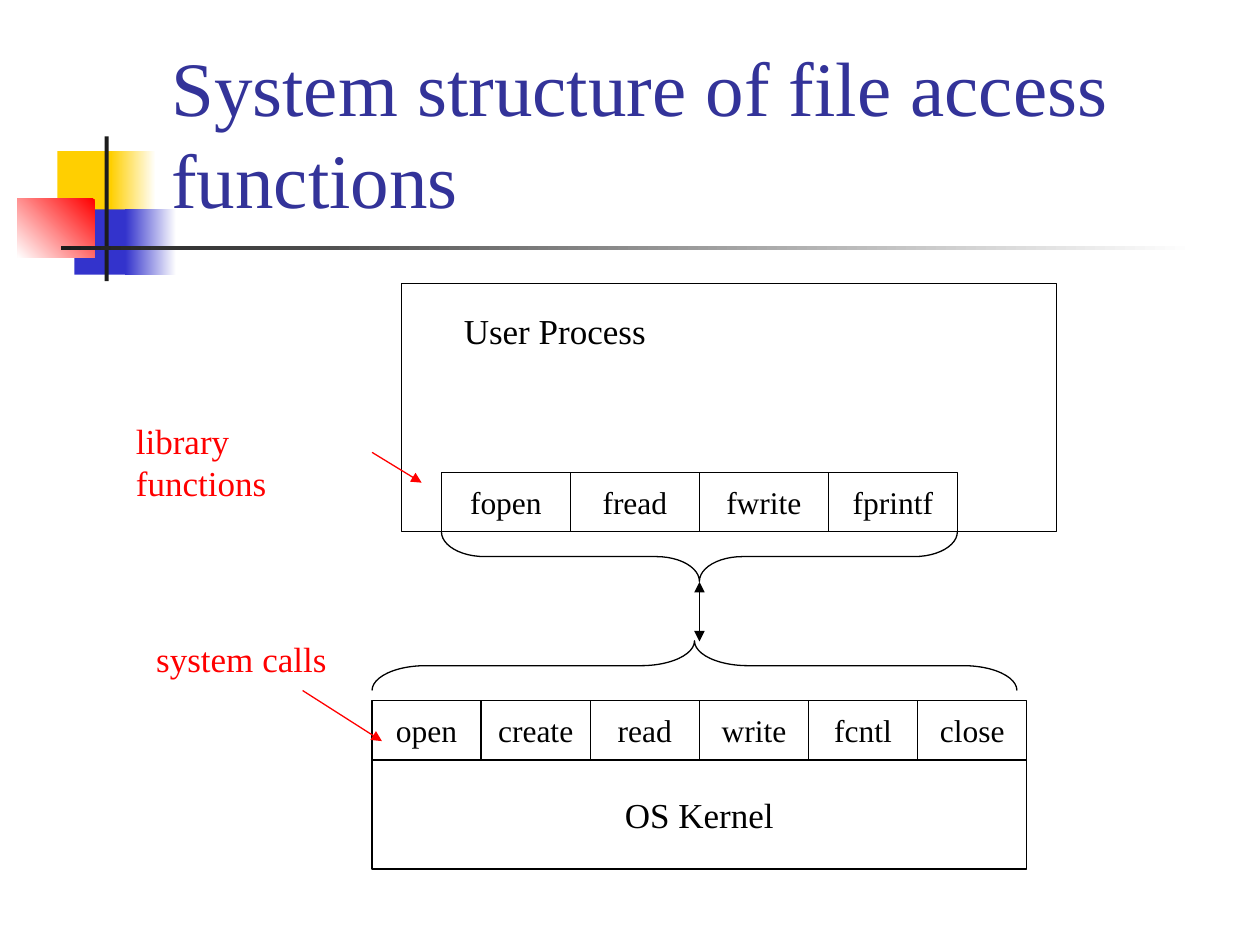
"""Build the slide on the system structure of file access functions."""
import lxml.etree
import pptx
import pptx.dml.color
import pptx.enum.shapes
import pptx.enum.text
import pptx.oxml.ns
import pptx.util

Cm, Pt, qn = pptx.util.Cm, pptx.util.Pt, pptx.oxml.ns.qn
Shape = pptx.enum.shapes.MSO_SHAPE
Anchor = pptx.enum.text.MSO_ANCHOR
Align = pptx.enum.text.PP_ALIGN
FONT = "Times New Roman"
BLACK, RED, WHITE, DARK = "000000", "FF0000", "FFFFFF", "1C1C1C"
YELLOW, BLUE, NAVY = "FFCF01", "3333CC", "333399"
LINE_WIDTH = 0.74
ROW_HEIGHT = 1.2


def color(value):
    return pptx.dml.color.RGBColor.from_string(value)


def write(frame, words, size, ink, align, anchor, wrap=False):
    frame.word_wrap = wrap
    frame.vertical_anchor = anchor
    para = frame.paragraphs[0]
    para.alignment = align
    span = para.add_run()
    span.text = words
    span.font.name = FONT
    span.font.size = Pt(size)
    span.font.color.rgb = color(ink)


def add_preset(page, kind, left, top, width, height):
    shape = page.shapes.add_shape(kind, Cm(left), Cm(top), Cm(width), Cm(height))
    shape.shadow.inherit = False
    return shape


def add_block(page, left, top, width, height, fill, fade=None, angle=180):
    shape = add_preset(page, Shape.RECTANGLE, left, top, width, height)
    shape.line.fill.background()
    if fade is None:
        shape.fill.solid()
        shape.fill.fore_color.rgb = color(fill)
        return
    shape.fill.gradient()
    shape.fill.gradient_angle = angle
    for stop, ink in zip(shape.fill.gradient_stops, (fill, fade)):
        stop.color.rgb = color(ink)


def add_outline(page, kind, left, top, width, height):
    shape = add_preset(page, kind, left, top, width, height)
    shape.fill.background()
    shape.line.color.rgb = color(BLACK)
    shape.line.width = Pt(LINE_WIDTH)
    return shape


def add_box(page, left, top, width, height, words="", size=18):
    box = add_outline(page, Shape.RECTANGLE, left, top, width, height)
    if words:
        write(box.text_frame, words, size, BLACK, Align.CENTER, Anchor.MIDDLE)


def add_row(page, left, top, width, names):
    for index, name in enumerate(names):
        add_box(page, left + index * width, top, width, ROW_HEIGHT, name)


def add_label(page, left, top, width, words, ink, wrap=False):
    box = page.shapes.add_textbox(Cm(left), Cm(top), Cm(width), Cm(1.1))
    write(box.text_frame, words, 20, ink, Align.LEFT, Anchor.TOP, wrap)


def add_brace(page, left, top, width, height, rotation, curve):
    middle_x, middle_y = left + width / 2, top + height / 2
    brace = add_outline(page, Shape.LEFT_BRACE, middle_x - height / 2,
                        middle_y - width / 2, height, width)
    brace.rotation = rotation
    brace.adjustments[0] = curve


def add_arrow(page, start, end, ink, ends=("tailEnd",)):
    arrow = page.shapes.add_connector(
        pptx.enum.shapes.MSO_CONNECTOR.STRAIGHT, *map(Cm, start + end))
    arrow.line.color.rgb = color(ink)
    arrow.line.width = Pt(LINE_WIDTH)
    line = arrow.line._get_or_add_ln()
    for end_name in ends:
        lxml.etree.SubElement(line, qn("a:" + end_name), type="triangle")
    lxml.etree.SubElement(arrow.element.spPr, qn("a:effectLst"))


def add_ornament(page, left, top):
    add_block(page, left + 0.81, top + 0.3, 1.22, 1.32, YELLOW)
    add_block(page, left + 1.88, top + 0.3, 0.91, 1.32, WHITE, YELLOW)
    add_block(page, left + 1.15, top + 1.47, 1.17, 1.32, BLUE)
    add_block(page, left + 2.18, top + 1.47, 1.02, 1.32, WHITE, BLUE)
    add_block(page, left, top + 1.26, 1.56, 1.18, RED, WHITE, 225)
    add_block(page, left + 1.76, top, 0.08, 2.92, DARK)
    add_block(page, left + 0.88, top + 2.2, 22.86, 0.09, WHITE, DARK)


def add_title(page, left, top, width, height, words):
    title = page.shapes.title
    title.left, title.top, title.width, title.height = map(
        Cm, (left, top, width, height))
    title.text_frame.auto_size = pptx.enum.text.MSO_AUTO_SIZE.NONE
    write(title.text_frame, words, 44, NAVY, Align.LEFT, Anchor.BOTTOM, True)
    title.element.getparent().append(title.element)


def add_user_process(page, left, top, width, height):
    add_box(page, left, top, width, height)
    add_label(page, left + 1, top + 0.4, 4.2, "User Process", BLACK)
    add_row(page, left + 0.8, top + height - ROW_HEIGHT, 2.6,
            ("fopen", "fread", "fwrite", "fprintf"))
    add_brace(page, left + 0.8, top + height, 10.4, 1, 270, 0.87)


def add_kernel(page, left, top, width, height):
    names = ("open", "create", "read", "write", "fcntl", "close")
    add_brace(page, left, top - 1.2, 13, 1, 90, 1.08)
    add_row(page, left, top, width / len(names), names)
    add_box(page, left, top + ROW_HEIGHT, width, height - ROW_HEIGHT,
            "OS Kernel", 20)


def main():
    deck = pptx.Presentation()
    deck.slide_width, deck.slide_height = Cm(25.4), Cm(19.05)
    page = deck.slides.add_slide(deck.slide_layouts[5])
    add_ornament(page, 0.35, 2.75)
    add_title(page, 3.2, 0.58, 21.64, 4.06,
              "System structure of file access functions")
    add_user_process(page, 8.1, 5.72, 13.2, 5)
    add_kernel(page, 7.5, 14.12, 13.2, 3.4)
    add_arrow(page, (14.1, 11.73), (14.1, 12.93), BLACK, ("headEnd", "tailEnd"))
    add_label(page, 2.49, 8.33, 5, "library functions", RED, True)
    add_label(page, 2.9, 12.73, 3.94, "system calls", RED)
    add_arrow(page, (7.5, 9.12), (8.5, 9.73), RED)
    add_arrow(page, (6.1, 13.92), (7.7, 14.94), RED)
    deck.save("out.pptx")


main()
